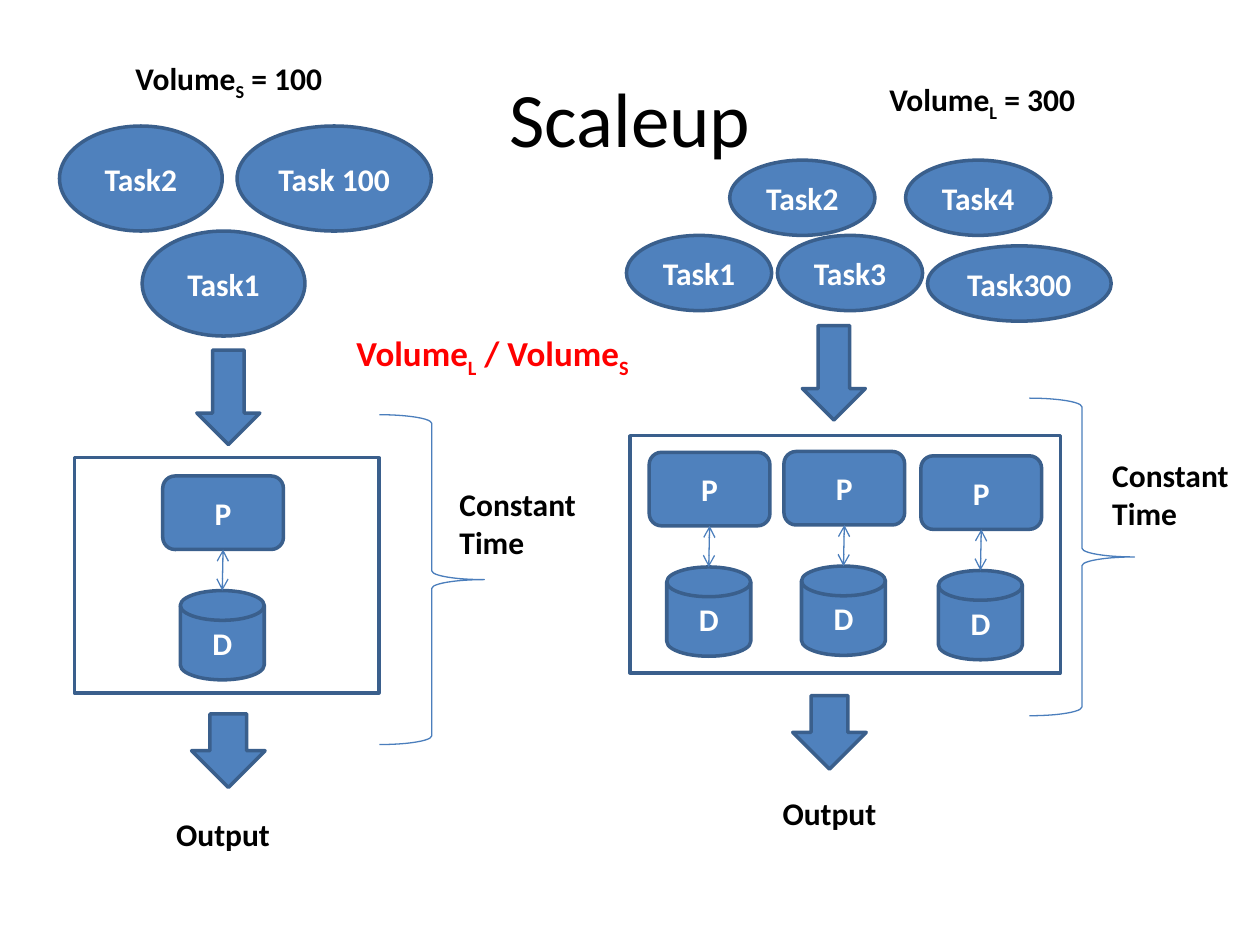
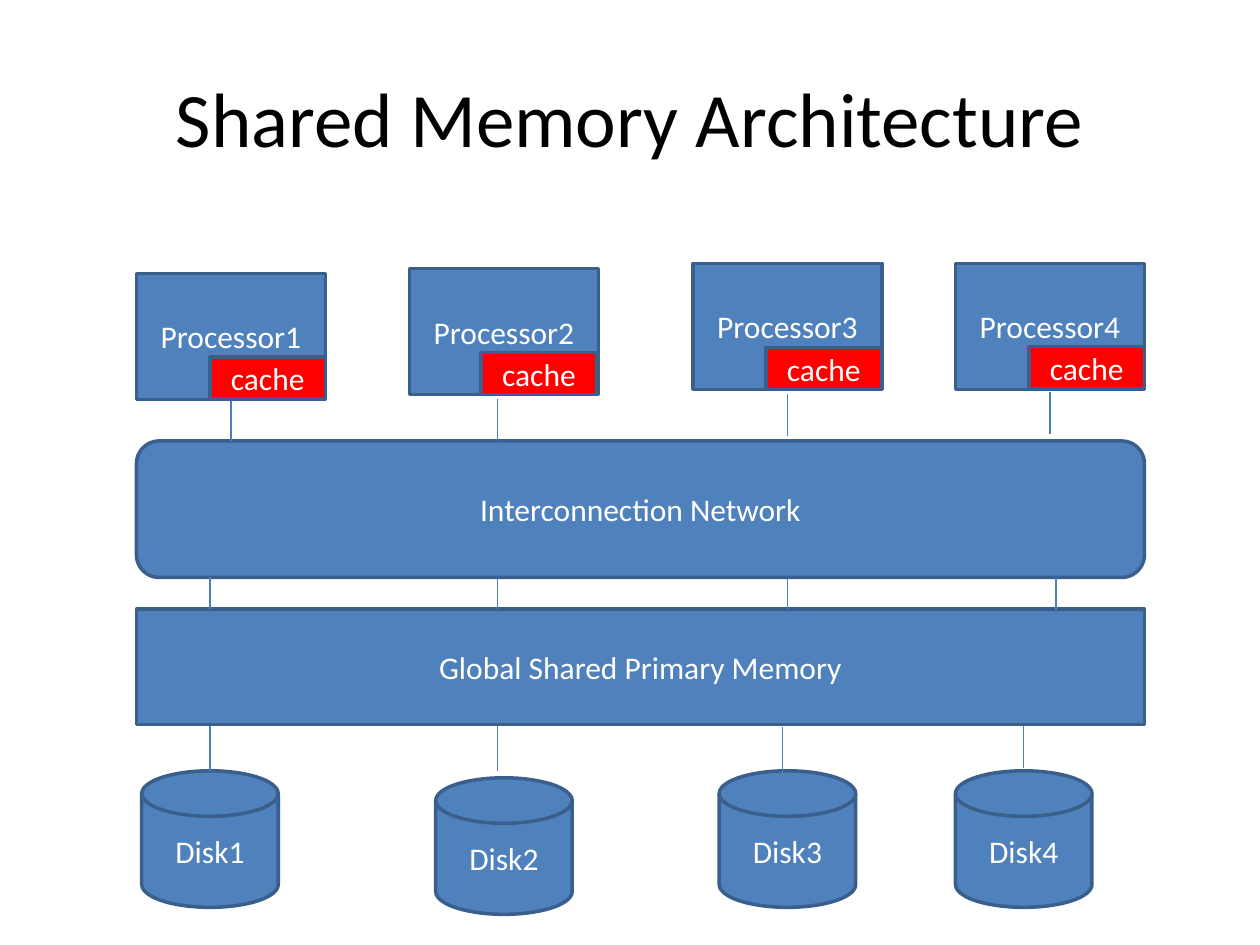
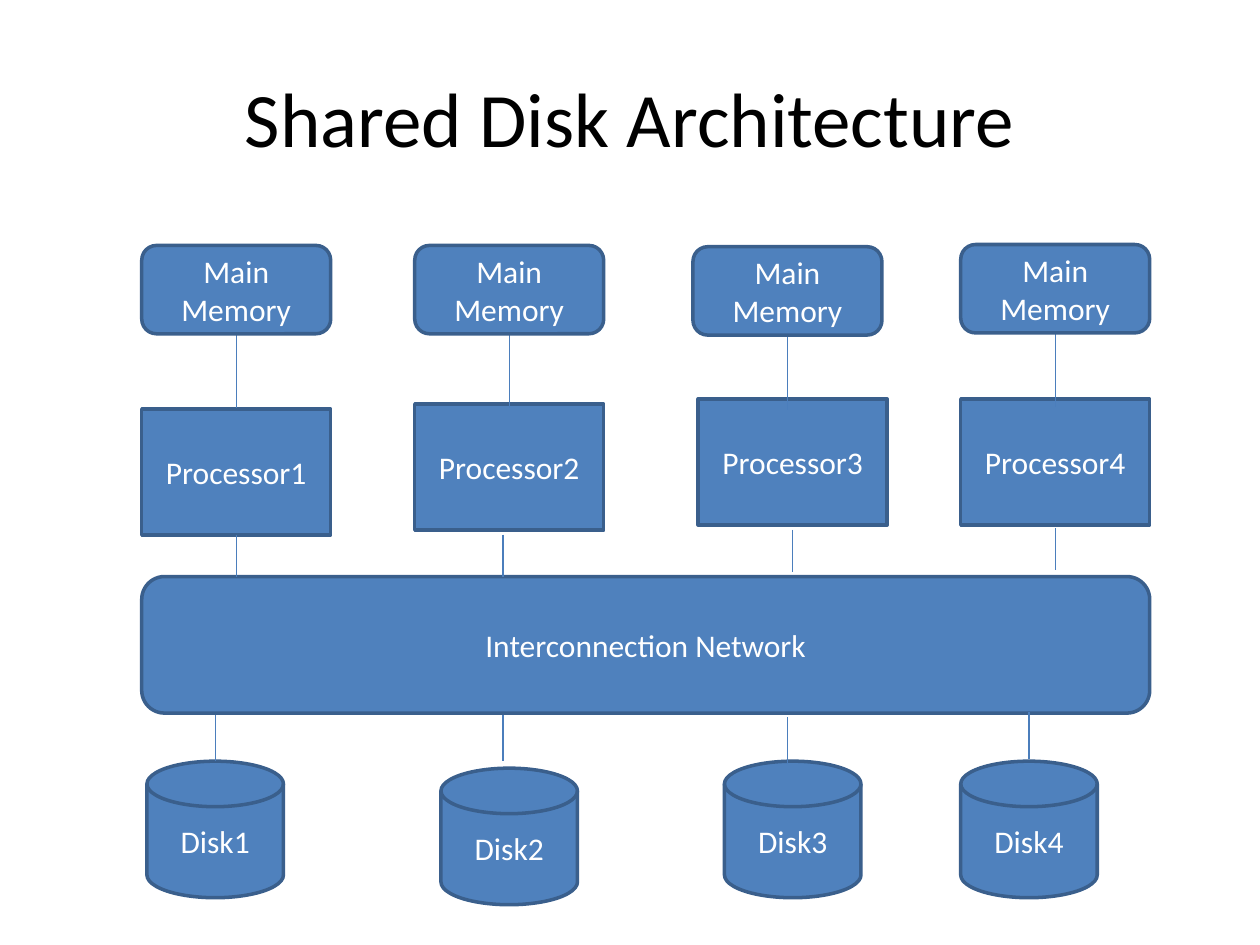
from dataclasses import dataclass
from typing import NamedTuple

from lxml.etree import SubElement as Sub
from pptx import Presentation
from pptx.dml.color import RGBColor as Color
from pptx.enum.shapes import MSO_CONNECTOR as Conn, MSO_SHAPE as Kind
from pptx.enum.text import MSO_ANCHOR as Anchor, MSO_AUTO_SIZE as Auto, PP_ALIGN as Align
from pptx.oxml.ns import qn
from pptx.slide import Slide
from pptx.text.text import TextFrame as Frame
from pptx.util import Pt


@dataclass(frozen=True)
class Theme:
    font: str = "Calibri"
    fill: Color = Color(0x4F, 0x81, 0xBD)
    edge: Color = Color(0x3A, 0x5F, 0x8C)
    wire: Color = Color(0x4B, 0x7E, 0xBC)
    red: Color = Color(0xFF, 0, 0)
    ink: Color = Color(0, 0, 0)
    white: Color = Color(0xFF, 0xFF, 0xFF)
    head: float = 44
    large: float = 20
    body: float = 18
    thick: float = 2
    thin: float = 0.75


THEME = Theme()


class Spot(NamedTuple):
    x: float
    y: float


class Box(NamedTuple):
    x: float
    y: float
    w: float
    h: float


class Task(NamedTuple):
    name: str
    box: Box


@dataclass(frozen=True)
class Side:
    tasks: list[Task]
    feed: Spot
    frame: Box
    cells: list[Spot]
    brace: Box
    time: Spot
    drain: Spot
    result: Spot
    mark: str
    count: int
    volume: Spot


SMALL = Side(
    tasks=[
        Task("Task1", Box(81.25, 132, 93, 60)),
        Task("Task2", Box(34, 72, 93, 60)),
        Task("Task 100", Box(135.5, 72, 111, 60)),
    ],
    feed=Spot(112.5, 200),
    frame=Box(42.5, 261.5, 174, 134.5),
    cells=[Spot(93, 272)],
    brace=Box(216.75, 237, 60, 188.5),
    time=Spot(255.5, 273.5),
    drain=Spot(109.5, 408),
    result=Spot(54, 462),
    mark="S",
    count=100,
    volume=Spot(34, 30),
)
LARGE = Side(
    tasks=[
        Task("Task1", Box(358, 134.5, 83, 43)),
        Task("Task2", Box(417, 91.5, 83, 43)),
        Task("Task3", Box(444.25, 134.5, 83, 43)),
        Task("Task4", Box(517.5, 91.5, 83, 43)),
        Task("Task300", Box(530, 140.5, 105, 43)),
    ],
    feed=Spot(458.5, 186),
    frame=Box(360, 249, 246, 135.5),
    cells=[Spot(371, 258.5), Spot(448, 258), Spot(526.25, 260.5)],
    brace=Box(588.25, 227.5, 60, 181.5),
    time=Spot(628.5, 257),
    drain=Spot(453, 397.5),
    result=Spot(400.5, 450),
    mark="L",
    count=300,
    volume=Spot(464.5, 42),
)

CHIPS = [Spot(78, 156.25), Spot(234, 153.5), Spot(396, 150.5), Spot(546, 150.5)]
DISKS = [Spot(81, 440.5), Spot(249, 444.5), Spot(411, 440.5), Spot(546, 440.5)]
UPPER = [Spot(132, 228), Spot(284.5, 228), Spot(450, 225.25), Spot(600, 224.25)]
MIDDLE = [Spot(120, 330), Spot(284.5, 330.5), Spot(450, 330.5), Spot(603.5, 330.5)]
LOWER = [Spot(120, 414), Spot(284.5, 414), Spot(447, 415.5), Spot(585, 412.5)]
CACHES = [Spot(120, 204), Spot(275, 201.5), Spot(437.75, 198.5), Spot(588, 198)]
STORES = [Spot(81, 140.25), Spot(237, 140.25), Spot(396, 141), Spot(549, 139.75)]


def write(frame: Frame, parts: tuple[str, ...], color: Color,
          size: float = THEME.body, bold: bool = False, align: Align = Align.CENTER) -> None:
    line = frame.paragraphs[0]
    line.alignment = align
    for i, part in enumerate(parts):
        run = line.add_run()
        run.text = part
        run.font.name = THEME.font
        run.font.size = Pt(size)
        run.font.bold = bold
        run.font.color.rgb = color
        if i % 2:
            run._r.get_or_add_rPr().set("baseline", "-25000")


def draw(slide: Slide, kind: Kind, box: Box, text: str = "", bold: bool = False,
         fill: Color | None = THEME.fill, edge: Color = THEME.edge,
         width: float = THEME.thick) -> None:
    shape = slide.shapes.add_shape(kind, *map(Pt, box))
    shape.shadow.inherit = False
    if fill is None:
        shape.fill.background()
    else:
        shape.fill.solid()
        shape.fill.fore_color.rgb = fill
    shape.line.color.rgb = edge
    shape.line.width = Pt(width)
    if text:
        frame = shape.text_frame
        frame.word_wrap = True
        frame.vertical_anchor = Anchor.MIDDLE
        frame.margin_left = frame.margin_right = Pt(4)
        write(frame, (text,), THEME.white, bold=bold)


def label(slide: Slide, box: Box, parts: tuple[str, ...], color: Color = THEME.ink,
          size: float = THEME.body, align: Align = Align.CENTER) -> None:
    frame = slide.shapes.add_textbox(*map(Pt, box)).text_frame
    frame.word_wrap = True
    frame.auto_size = Auto.SHAPE_TO_FIT_TEXT
    write(frame, parts, color, size, True, align)


def link(slide: Slide, start: Spot, end: Spot, heads: bool = False) -> None:
    wire = slide.shapes.add_connector(Conn.STRAIGHT, *map(Pt, (*start, *end)))
    wire.line.color.rgb = THEME.wire
    wire.line.width = Pt(THEME.thin)
    if heads:
        for tag in ("a:headEnd", "a:tailEnd"):
            Sub(wire.line._get_or_add_ln(), qn(tag), type="arrow")
    Sub(wire._element.spPr, qn("a:effectLst"))


def drop(slide: Slide, spots: list[Spot], size: float) -> None:
    for x, y in spots:
        link(slide, Spot(x, y), Spot(x, y + size))


def shift(spots: list[Spot], dx: float, dy: float) -> list[Spot]:
    return [Spot(x + dx, y + dy) for x, y in spots]


def begin(deck: Presentation, text: str) -> Slide:
    slide = deck.slides.add_slide(deck.slide_layouts[5])
    title = slide.shapes.title
    title.left, title.top, title.width, title.height = map(Pt, (36, 21.6, 648, 90))
    title.text_frame.vertical_anchor = Anchor.MIDDLE
    write(title.text_frame, (text,), THEME.ink, THEME.head)
    return slide


def cell(slide: Slide, spot: Spot) -> None:
    x, y = spot
    draw(slide, Kind.ROUNDED_RECTANGLE, Box(x, y, 69, 42), "P", True)
    draw(slide, Kind.FLOWCHART_MAGNETIC_DISK, Box(x + 10, y + 65.5, 48, 51), "D", True)
    link(slide, Spot(x + 34.5, y + 42), Spot(x + 34, y + 65.5), True)


def flow(slide: Slide, side: Side) -> None:
    for name, box in side.tasks:
        draw(slide, Kind.OVAL, box, name, True)
    draw(slide, Kind.DOWN_ARROW, Box(*side.feed, 36, 54))
    draw(slide, Kind.DOWN_ARROW, Box(*side.drain, 42, 42))
    draw(slide, Kind.RECTANGLE, side.frame, fill=None)
    for spot in side.cells:
        cell(slide, spot)
    draw(slide, Kind.RIGHT_BRACE, side.brace, fill=None, edge=THEME.wire, width=THEME.thin)
    label(slide, Box(*side.time, 91, 51), ("Constant Time",), align=Align.LEFT)
    label(slide, Box(*side.result, 147, 29), ("Output",))
    label(slide, Box(*side.volume, 193.5, 30), ("Volume", side.mark, f" = {side.count}"))


def stack(slide: Slide, dx: float = 0, top: float = 0, low: float = 0) -> None:
    for i, spot in enumerate(shift(CHIPS, dx, top), 1):
        draw(slide, Kind.FLOWCHART_PROCESS, Box(*spot, 108, 72), f"Processor{i}")
    draw(slide, Kind.ROUNDED_RECTANGLE, Box(78 + dx, 252 + top, 576, 78),
         "Interconnection Network")
    for i, spot in enumerate(shift(DISKS, dx, low), 1):
        draw(slide, Kind.FLOWCHART_MAGNETIC_DISK, Box(*spot, 78, 78), f"Disk{i}")
    drop(slide, shift(UPPER, dx, top), 24)
    drop(slide, shift(LOWER, dx, low), 26.5)


def scaleup(deck: Presentation) -> None:
    slide = begin(deck, "Scaleup")
    for side in (SMALL, LARGE):
        flow(slide, side)
    label(slide, Box(191.5, 186, 180, 32), ("Volume", "L", " / Volume", "S"),
          THEME.red, THEME.large)


def memory(deck: Presentation) -> None:
    slide = begin(deck, "Shared Memory Architecture")
    stack(slide)
    draw(slide, Kind.RECTANGLE, Box(78, 348, 576, 66), "Global Shared Primary Memory")
    drop(slide, MIDDLE, 18)
    for spot in CACHES:
        draw(slide, Kind.RECTANGLE, Box(*spot, 66, 24), "cache", fill=THEME.red)


def disk(deck: Presentation) -> None:
    slide = begin(deck, "Shared Disk Architecture")
    stack(slide, 3, 77.5, -5.5)
    drop(slide, shift(STORES, 54, 50.5), 42.5)
    for spot in STORES:
        draw(slide, Kind.ROUNDED_RECTANGLE, Box(*spot, 108, 50.5), "Main Memory")


def main() -> None:
    deck = Presentation()
    deck.slide_width, deck.slide_height = Pt(720), Pt(540)
    for build in (scaleup, memory, disk):
        build(deck)
    deck.save("out.pptx")


if __name__ == "__main__":
    main()
